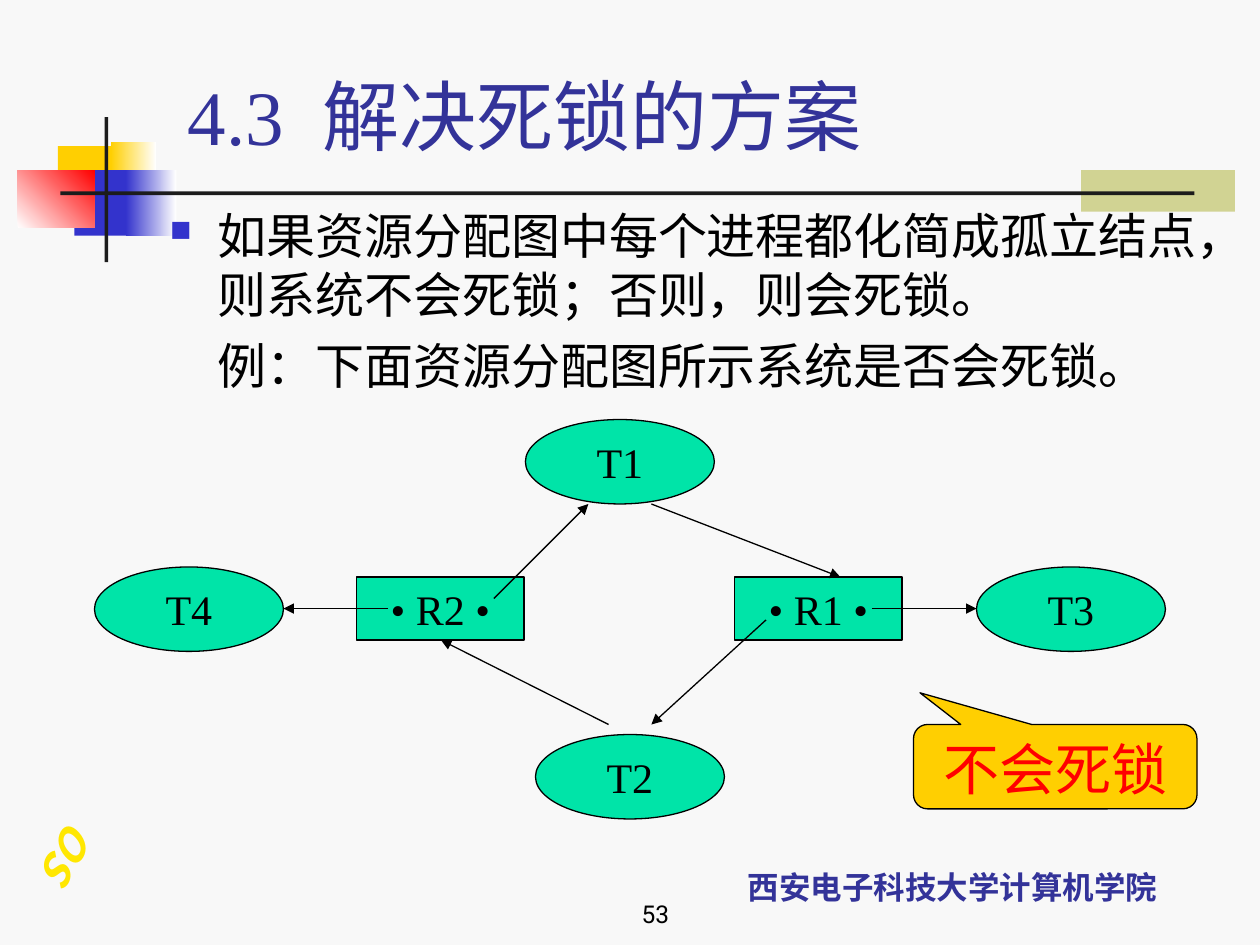
import dataclasses

import pptx
import pptx.dml.color
import pptx.enum.shapes
import pptx.enum.text
import pptx.oxml.ns
import pptx.util
from lxml import etree

Inches = pptx.util.Inches
Pt = pptx.util.Pt
MSO = pptx.enum.shapes.MSO_SHAPE
ALIGN = pptx.enum.text.PP_ALIGN
ANCHOR = pptx.enum.text.MSO_ANCHOR
qn = pptx.oxml.ns.qn


@dataclasses.dataclass(frozen=True)
class Theme:
    paper: str = "F8F8F8"
    ink: str = "000000"
    dark: str = "1C1C1C"
    navy: str = "333399"
    blue: str = "3333CC"
    gold: str = "FFCF01"
    olive: str = "D1D393"
    red: str = "FF0000"
    white: str = "FFFFFF"
    green: str = "00E4A8"
    yellow: str = "FFE701"
    serif: str = "Times New Roman"
    sans: str = "Noto Sans CJK SC"
    digit: str = "Roboto"
    title: int = 44
    call: int = 32
    body: int = 28
    node: int = 24
    foot: int = 18
    page: int = 14
    line: float = 0.75


THEME = Theme()


def color(code):
    return pptx.dml.color.RGBColor.from_string(code)


def style(par, size, code, face=THEME.serif, bold=False, align=ALIGN.LEFT):
    par.alignment = align
    for run in par.runs:
        font = run.font
        font.size, font.name, font.bold = Pt(size), face, bold
        font.color.rgb = color(code)
        if face == THEME.sans:
            etree.SubElement(font._element, qn("a:ea"), typeface=face)


def add_text(slide, box, text, anchor=ANCHOR.TOP):
    frame = slide.shapes.add_textbox(*map(Inches, box)).text_frame
    frame.word_wrap = True
    frame.vertical_anchor = anchor
    frame.text = text
    return frame


def add_form(slide, kind, box, fill, line=None):
    """Add a preset shape; a pair of colours as fill gives a gradient."""
    form = slide.shapes.add_shape(kind, *map(Inches, box))
    form.shadow.inherit = False
    if isinstance(fill, tuple):
        form.fill.gradient()
        for stop, code in zip(form.fill.gradient_stops, fill):
            stop.color.rgb = color(code)
        for stop, place in zip(form.fill.gradient_stops, (0, 1)):
            stop.position = place
        form.fill.gradient_angle = 0
    else:
        form.fill.solid()
        form.fill.fore_color.rgb = color(fill)
    if line:
        form.line.color.rgb = color(line)
        form.line.width = Pt(THEME.line)
    else:
        form.line.fill.background()
    return form


def add_motif(slide, box):
    left, top = box[:2]
    parts = [
        (8.44, 0.42, 1.22, 0.33, THEME.olive),
        (0.32, 0.23, 0.48, 0.52, THEME.gold),
        (0.74, 0.2, 0.36, 0.52, (THEME.gold, THEME.white)),
        (0.45, 0.42, 0.46, 0.52, THEME.blue),
        (0.86, 0.42, 0.4, 0.52, (THEME.blue, THEME.white)),
        (0, 0.42, 0.61, 0.46, (THEME.white, THEME.red)),
        (0.69, 0, 0.03, 1.15, THEME.dark),
        (0.34, 0.59, 9, 0.03, THEME.dark),
    ]
    for x, y, wide, high, fill in parts:
        form = add_form(slide, MSO.RECTANGLE, (left + x, top + y, wide, high), fill)
        if fill == (THEME.white, THEME.red):
            form.fill.gradient_angle = 45


def add_title(slide, box):
    par = add_text(slide, box, "", ANCHOR.BOTTOM).paragraphs[0]
    for part in ("4.3", " ", "解决死锁的方案"):
        par.add_run().text = part
    style(par, THEME.title, THEME.navy)
    # Widen the gap after the section number
    par.runs[1].font._element.set("spc", "1100")


def add_body(slide, box):
    frame = add_text(slide, box, "如果资源分配图中每个进程都化简成孤立结点，则系统不会死锁；否则，则会死锁。")
    first, second = frame.paragraphs[0], frame.add_paragraph()
    second.text = "例：下面资源分配图所示系统是否会死锁。"
    second.space_before = Pt(7)
    for par in (first, second):
        par._p.get_or_add_pPr().set("marL", str(Inches(0.38)))
    props = first._p.get_or_add_pPr()
    props.set("indent", str(Inches(-0.38)))
    tint = etree.SubElement(props, qn("a:buClr"))
    etree.SubElement(tint, qn("a:srgbClr"), val=THEME.blue)
    etree.SubElement(props, qn("a:buSzPct"), val="60000")
    etree.SubElement(props, qn("a:buChar"), char="■")
    for par in (first, second):
        style(par, THEME.body, THEME.ink)


def add_node(slide, kind, box, text):
    form = add_form(slide, kind, box, THEME.green, THEME.ink)
    frame = form.text_frame
    frame.text = text
    frame.word_wrap = False
    frame.vertical_anchor = ANCHOR.MIDDLE
    style(frame.paragraphs[0], THEME.node, THEME.ink, align=ALIGN.CENTER)


def add_arrow(slide, start, end):
    line = slide.shapes.add_connector(
        pptx.enum.shapes.MSO_CONNECTOR.STRAIGHT, *map(Inches, start + end))
    line.line.color.rgb = color(THEME.ink)
    line.line.width = Pt(THEME.line)
    etree.SubElement(line.line._get_or_add_ln(), qn("a:tailEnd"), type="triangle")
    etree.SubElement(line._element.spPr, qn("a:effectLst"))


def add_graph(slide, box):
    """Draw tasks, resources and the arrows between them."""
    left, top = box[:2]
    tasks = {"T1": (3.42, 0), "T2": (3.5, 2.5), "T3": (7, 1.17), "T4": (0, 1.17)}
    for name, (x, y) in tasks.items():
        add_node(slide, MSO.OVAL, (left + x, top + y, 1.5, 0.67), name)
    for name, x in (("R2", 2.08), ("R1", 5.08)):
        add_node(slide, MSO.RECTANGLE, (left + x, top + 1.25, 1.33, 0.5), f"• {name} •")
    arrows = [
        (3.17, 1.42, 3.92, 0.67),
        (4.42, 0.67, 5.92, 1.25),
        (6.17, 1.5, 7, 1.5),
        (5.33, 1.59, 4.42, 2.42),
        (4.08, 2.42, 2.75, 1.75),
        (2.33, 1.5, 1.5, 1.5),
    ]
    for x1, y1, x2, y2 in arrows:
        add_arrow(slide, (left + x1, top + y1), (left + x2, top + y2))


def add_call(slide, box):
    form = add_form(slide, MSO.ROUNDED_RECTANGULAR_CALLOUT, box, THEME.gold, THEME.ink)
    for i, value in enumerate((-0.477, -0.875, 0.167)):
        form.adjustments[i] = value
    frame = form.text_frame
    frame.text = "不会死锁"
    frame.word_wrap = True
    frame.vertical_anchor = ANCHOR.TOP
    style(frame.paragraphs[0], THEME.call, THEME.red, align=ALIGN.CENTER)


def add_foot(slide, box):
    left, top = box[:2]
    school = add_text(slide, (left + 5.13, top + 0.24, 4.5, 0.58),
                      "西安电子科技大学计算机学院", ANCHOR.BOTTOM)
    style(school.paragraphs[0], THEME.foot, THEME.navy, THEME.sans, True, ALIGN.CENTER)
    mark = slide.shapes.add_textbox(*map(Inches, (left, top, 0.66, 0.85)))
    mark.rotation = 29.3
    frame = mark.text_frame
    frame.text = "OS"
    frame.word_wrap = False
    frame.vertical_anchor = ANCHOR.MIDDLE
    frame.margin_left = frame.margin_right = Inches(0.05)
    frame.margin_top = frame.margin_bottom = Inches(0.1)
    frame._txBody.bodyPr.set("vert", "eaVert")
    style(frame.paragraphs[0], THEME.node, THEME.yellow, THEME.sans, True)
    frame.paragraphs[0].runs[0].font.italic = True
    page = add_text(slide, (left + 3.15, top + 0.5, 2.08, 0.5), "53", ANCHOR.BOTTOM)
    style(page.paragraphs[0], THEME.page, THEME.ink, THEME.digit, align=ALIGN.RIGHT)


def main():
    deck = pptx.Presentation()
    deck.slide_width, deck.slide_height = Inches(10), Inches(7.5)
    slide = deck.slides.add_slide(deck.slide_layouts[6])
    slide.background.fill.solid()
    slide.background.fill.fore_color.rgb = color(THEME.paper)
    add_motif(slide, (0.14, 0.93, 9.66, 1.15))
    add_foot(slide, (0.18, 6.42, 9.63, 1))
    add_title(slide, (1.39, 0.5, 8.52, 0.83))
    add_body(slide, (1.25, 1.58, 8.5, 1.83))
    add_graph(slide, (0.75, 3.33, 8.5, 3.17))
    add_call(slide, (7.25, 5.75, 2.25, 0.67))
    deck.save("out.pptx")


if __name__ == "__main__":
    main()
